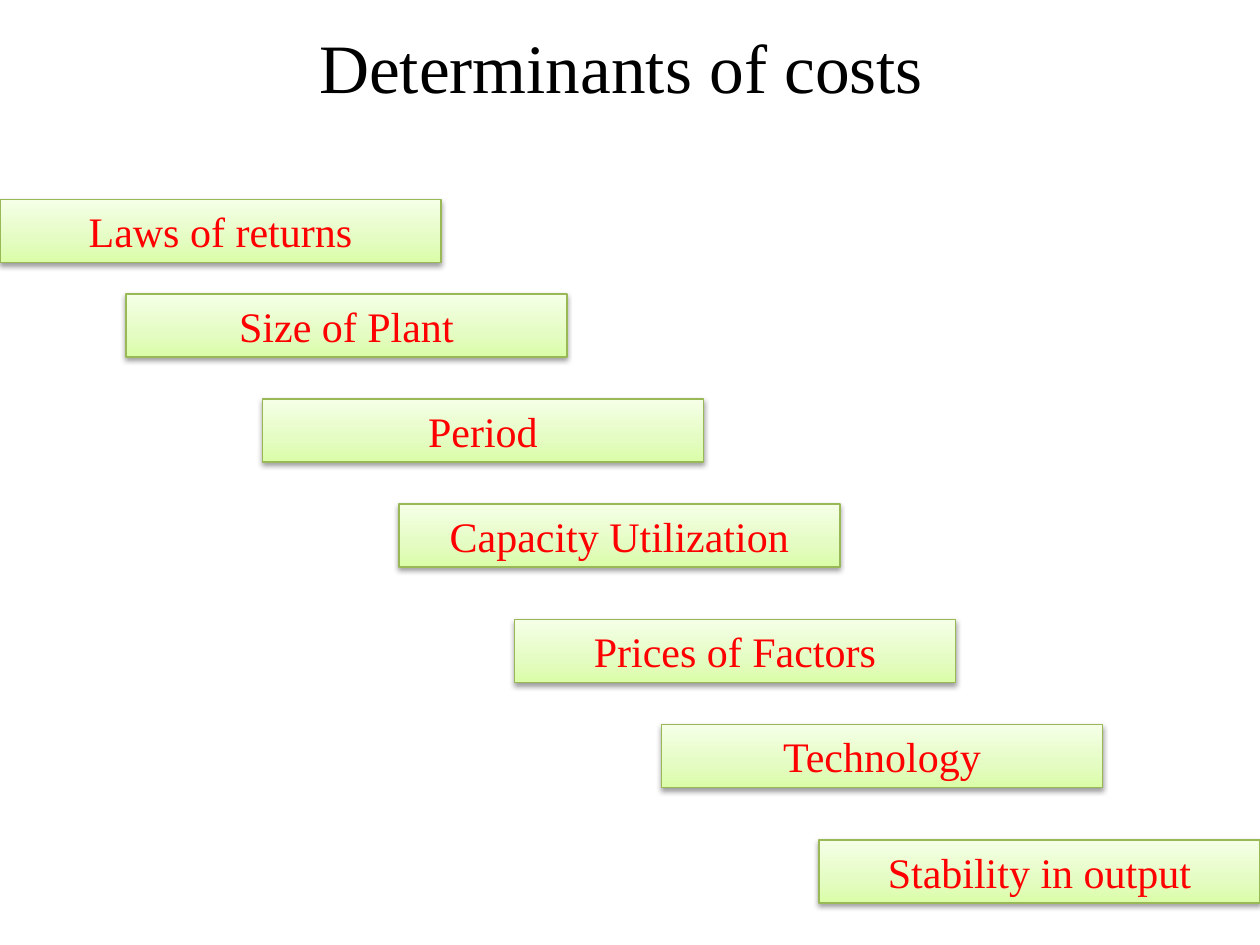
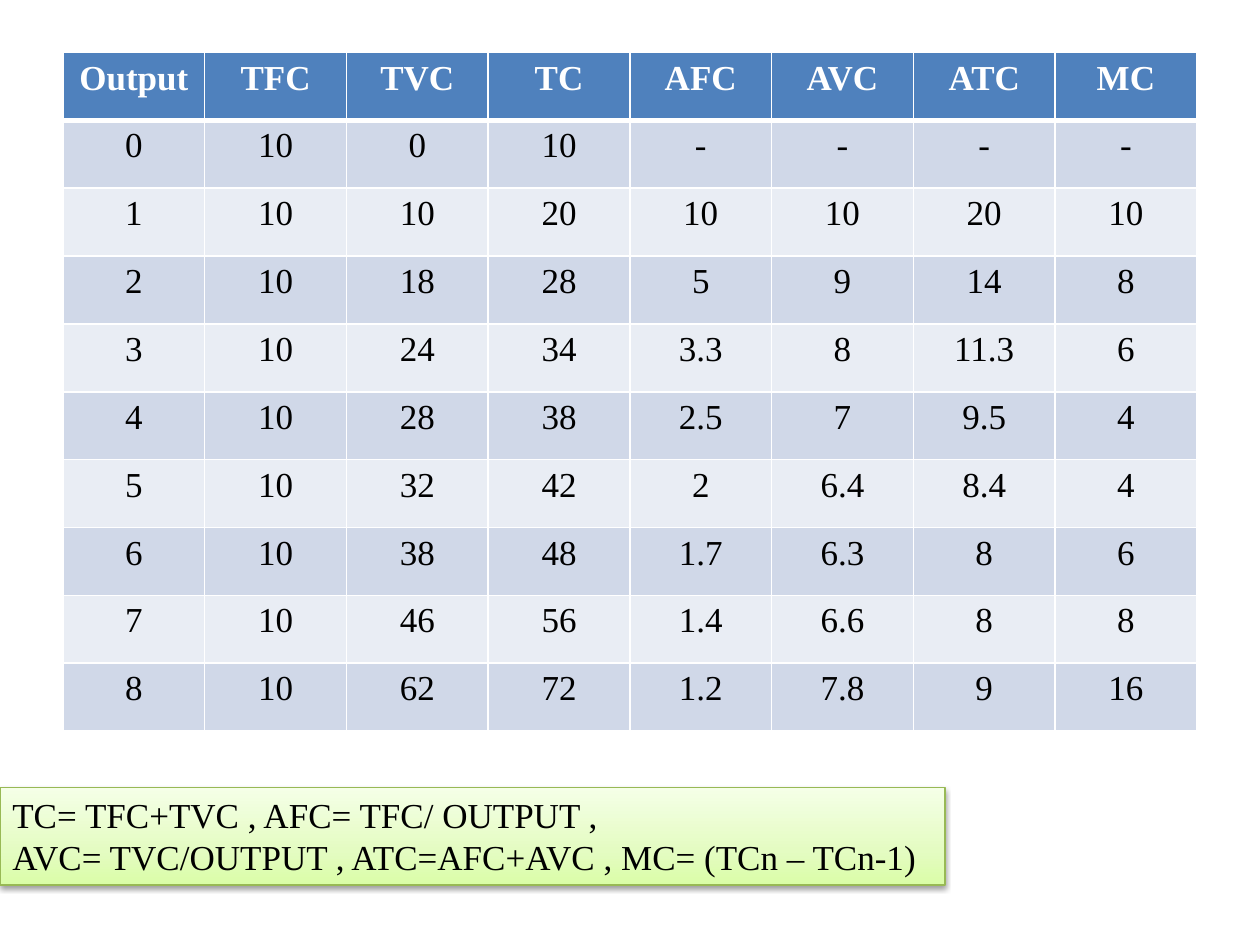
from lxml.etree import SubElement
from pptx import Presentation
from pptx.dml.color import RGBColor
from pptx.enum.shapes import MSO_SHAPE
from pptx.enum.text import MSO_ANCHOR as Anchor, MSO_AUTO_SIZE as AutoSize, PP_ALIGN as Align
from pptx.oxml.ns import qn
from pptx.util import Pt

FONT = "Times New Roman"
COLORS = {
    "text": "000000",
    "white": "FFFFFF",
    "determinant": "FF0000",
    "outline": "98B955",
    "header": "4F81BD",
    "band_dark": "D0D8E8",
    "band_light": "E9EDF4",
}
GREEN_STOPS = [(0, "DAFDA7"), (35, "E4FCC2"), (100, "F5FFE7")]

DETERMINANTS = [
    ("Laws of returns", 0, 114),
    ("Size of Plant", 72, 168),
    ("Period", 150, 228),
    ("Capacity Utilization", 228, 288),
    ("Prices of Factors", 294, 354),
    ("Technology", 378, 414),
    ("Stability in output", 468, 480),
]

COST_HEADINGS = ["Output ", "TFC", "TVC", "TC", "AFC", "AVC", "ATC", "MC"]
COST_ROWS = [
    "0 10 0 10 - - - -",
    "1 10 10 20 10 10 20 10",
    "2 10 18 28 5 9 14 8",
    "3 10 24 34 3.3 8 11.3 6",
    "4 10 28 38 2.5 7 9.5 4",
    "5 10 32 42 2 6.4 8.4 4",
    "6 10 38 48 1.7 6.3 8 6",
    "7 10 46 56 1.4 6.6 8 8",
    "8 10 62 72 1.2 7.8 9 16",
]
FORMULAS = (
    "TC= TFC+TVC , AFC= TFC/ OUTPUT ,\n"
    "AVC= TVC/OUTPUT , ATC=AFC+AVC , MC= (TCn – TCn-1)"
)


def rgb(name):
    """Return the named palette colour."""
    return RGBColor.from_string(COLORS[name])


def add_node(parent, tag, **attributes):
    """Append an XML element with the given attributes."""
    return SubElement(parent, qn(tag), {key: str(value) for key, value in attributes.items()})


def write(frame, text, size, color, align=Align.CENTER, bold=False):
    """Fill a text frame and format all its runs."""
    frame.text = text
    for paragraph in frame.paragraphs:
        paragraph.alignment = align
        for run in paragraph.runs:
            run.font.name = FONT
            run.font.size = Pt(size)
            run.font.bold = bold
            run.font.color.rgb = rgb(color)


def add_title(slide, text):
    """Add the centred slide title."""
    title = slide.shapes.add_textbox(Pt(36), Pt(21.6), Pt(648), Pt(32.4))
    title.text_frame.word_wrap = True
    title.text_frame.vertical_anchor = Anchor.MIDDLE
    write(title.text_frame, text, 39.6, "text")


def add_green_box(slide, left, top, width, height):
    """Add a green gradient box with a soft shadow and return it."""
    box = slide.shapes.add_shape(MSO_SHAPE.RECTANGLE, Pt(left), Pt(top), Pt(width), Pt(height))
    box.fill.gradient()
    box.fill.gradient_angle = 90
    stops = box._element.spPr.find(".//" + qn("a:gsLst"))
    stops.clear()
    for percent, color in GREEN_STOPS:
        add_node(add_node(stops, "a:gs", pos=percent * 1000), "a:srgbClr", val=color)
    box.line.color.rgb = rgb("outline")
    box.line.width = Pt(0.75)
    box.shadow.inherit = False
    effects = box._element.spPr.find(qn("a:effectLst"))
    shadow = add_node(effects, "a:outerShdw", blurRad=Pt(3.1), dist=Pt(1.6),
                      dir=5400000, rotWithShape=0)
    add_node(add_node(shadow, "a:srgbClr", val=COLORS["text"]), "a:alpha", val=38000)
    box.text_frame.word_wrap = True
    return box


def add_determinant(slide, text, left, top):
    """Add one step of the staircase of determinants."""
    step = add_green_box(slide, left, top, 252, 36)
    step.text_frame.vertical_anchor = Anchor.MIDDLE
    write(step.text_frame, text, 24, "determinant")


def add_formulas(slide, text):
    """Add the box that explains the cost columns."""
    note = add_green_box(slide, 0, 450, 540, 55.7)
    note.text_frame.vertical_anchor = Anchor.TOP
    note.text_frame.auto_size = AutoSize.SHAPE_TO_FIT_TEXT
    write(note.text_frame, text, 20, "text", Align.LEFT)


def add_borders(cell, top, bottom):
    """Draw white borders round a cell, 1 point wide at the sides."""
    properties = cell._tc.get_or_add_tcPr()
    for side, width in (("L", 1), ("R", 1), ("T", top), ("B", bottom)):
        border = add_node(properties, f"a:ln{side}", w=Pt(width))
        add_node(add_node(border, "a:solidFill"), "a:srgbClr", val=COLORS["white"])


def add_cost_table(slide, headings, rows):
    """Add the banded cost table with its header row."""
    records = [headings] + [row.split() for row in rows]
    table = slide.shapes.add_table(len(records), len(headings), Pt(36), Pt(30),
                                   Pt(648), Pt(388)).table
    for row_index, record in enumerate(records):
        is_header = row_index == 0
        band = "header" if is_header else "band_dark" if row_index % 2 else "band_light"
        for column_index, value in enumerate(record):
            cell = table.cell(row_index, column_index)
            add_borders(cell, 3 if row_index == 1 else 1, 3 if is_header else 1)
            cell.fill.solid()
            cell.fill.fore_color.rgb = rgb(band)
            write(cell.text_frame, value, 20, "white" if is_header else "text", bold=is_header)


def main():
    """Build both slides and save the presentation."""
    presentation = Presentation()
    presentation.slide_width, presentation.slide_height = Pt(720), Pt(540)
    blank = presentation.slide_layouts[6]

    determinants_slide = presentation.slides.add_slide(blank)
    add_title(determinants_slide, "Determinants of costs ")
    for text, left, top in DETERMINANTS:
        add_determinant(determinants_slide, text, left, top)

    costs_slide = presentation.slides.add_slide(blank)
    add_cost_table(costs_slide, COST_HEADINGS, COST_ROWS)
    add_formulas(costs_slide, FORMULAS)

    presentation.save("out.pptx")


if __name__ == "__main__":
    main()
